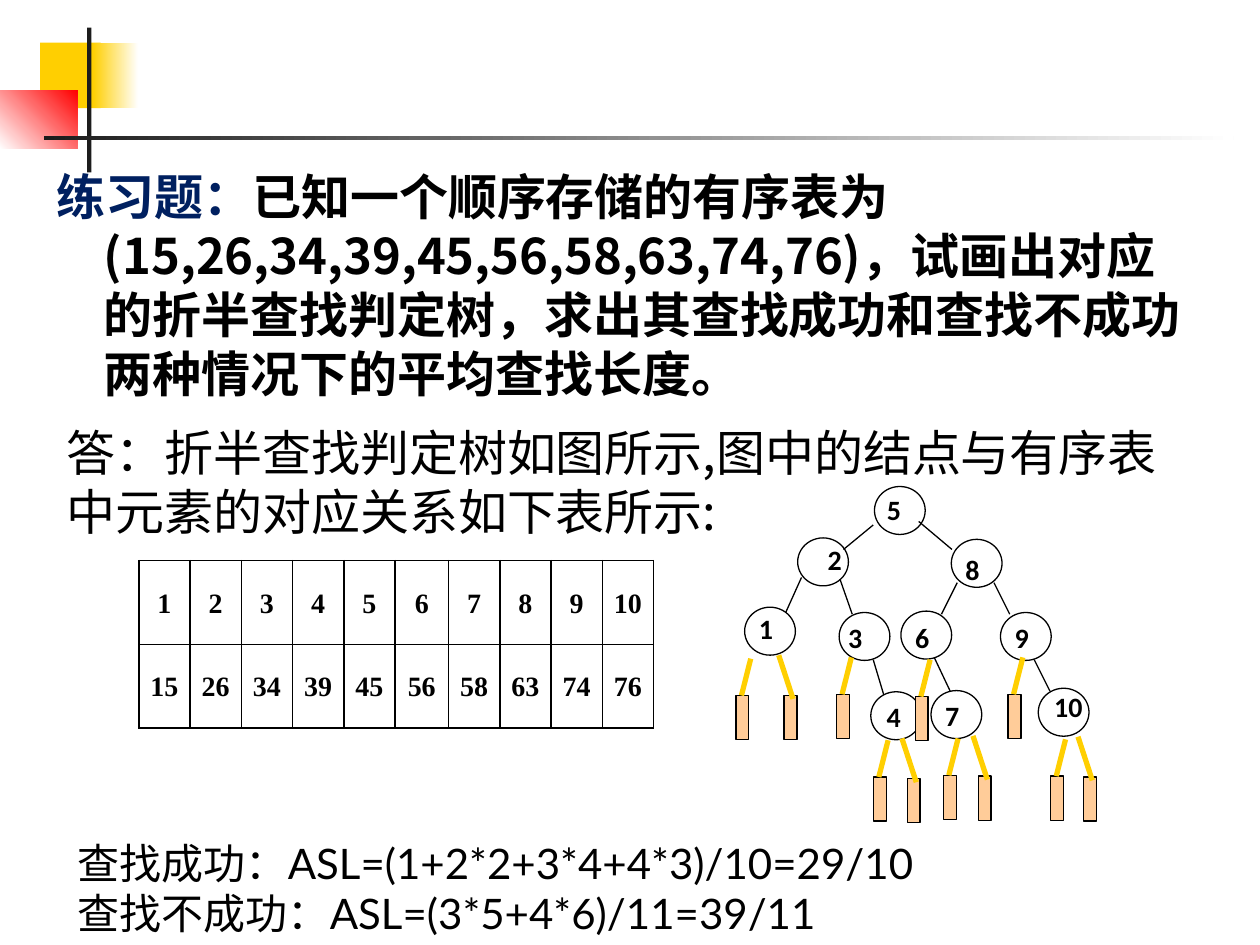
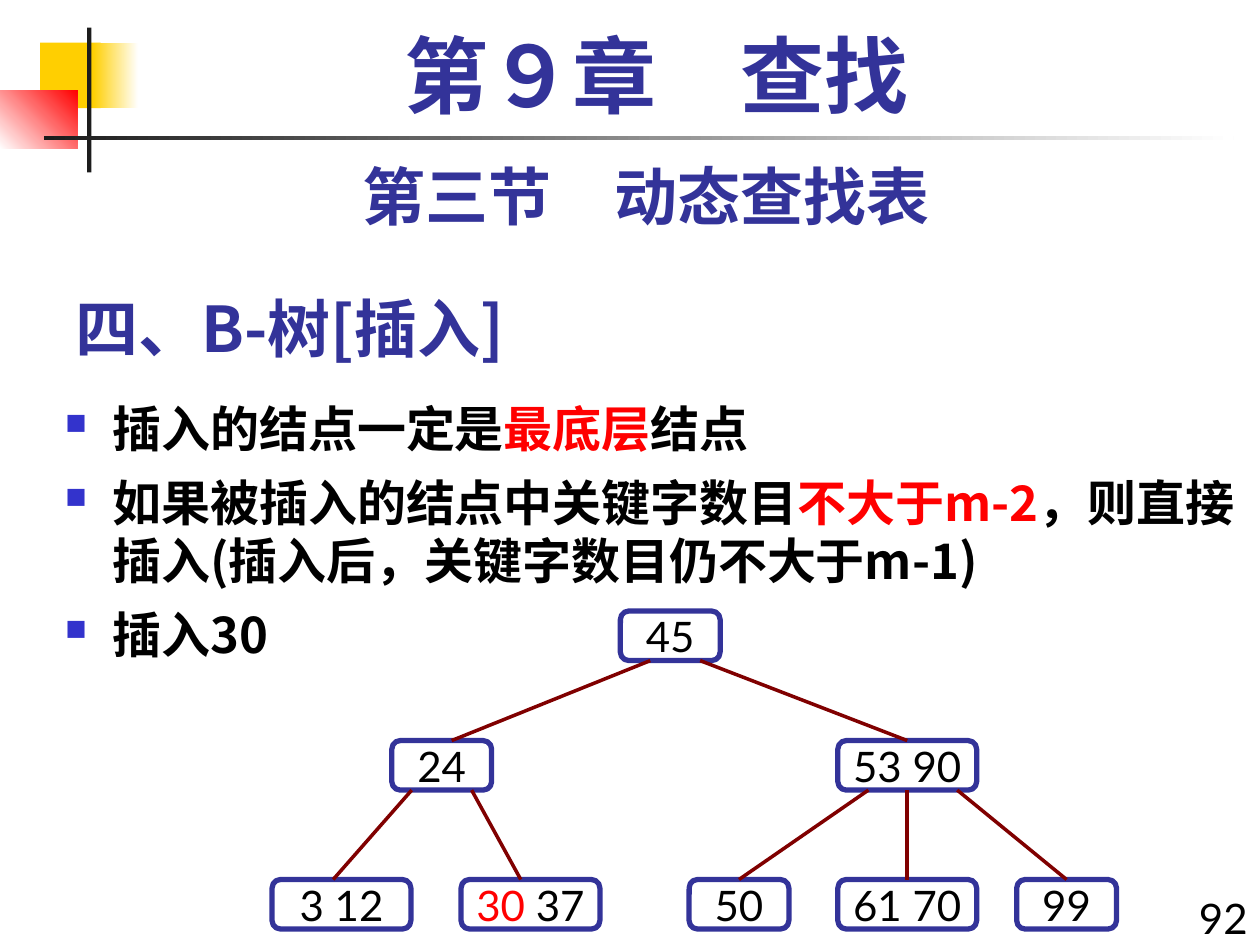
from lxml.etree import SubElement as Sub
from pptx import Presentation
from pptx.dml.color import RGBColor as Rgb
from pptx.enum.shapes import MSO_CONNECTOR as Wire, MSO_SHAPE as Kind
from pptx.enum.text import MSO_ANCHOR as Anchor, MSO_AUTO_SIZE as Auto, PP_ALIGN as Align
from pptx.oxml.ns import qn
from pptx.util import Pt

HUES = {
    "black": "000000", "white": "FFFFFF", "ink": "1C1C1C", "gold": "FFCF01",
    "red": "FF0000", "navy": "002060", "blue": "333399", "mark": "3333CC",
    "peach": "FFCC99", "brown": "800000",
}
SANS, LATO, TIMES, CALI = "Noto Sans CJK SC", "Lato", "Times New Roman", "Calibri"
PITCH = 1.2


def hue(name):
    return Rgb.from_string(HUES[name])


def bullet(para):
    props = para._p.get_or_add_pPr()
    Sub(Sub(props, qn("a:buClr")), qn("a:srgbClr"), val=HUES["mark"])
    Sub(props, qn("a:buSzPct"), val="60000")
    Sub(props, qn("a:buChar"), char="■")


def write(frame, paras, size, font, bold=False, align=Align.LEFT,
          pitch=PITCH, gap=0, hang=0, dots=False):
    for i, parts in enumerate(paras):
        para = frame.add_paragraph() if i else frame.paragraphs[0]
        para.alignment = align
        para.line_spacing = Pt(round(size * pitch, 1))
        para.space_before = Pt(gap if i else 0)
        if hang:
            props = para._p.get_or_add_pPr()
            props.set("marL", str(Pt(hang)))
            props.set("indent", str(Pt(-hang)))
        if dots:
            bullet(para)
        for text, tint in parts:
            run = para.add_run()
            run.text = text
            run.font.size, run.font.bold = Pt(size), bold
            run.font.color.rgb = hue(tint)
            run.font.name = font
            Sub(run._r.get_or_add_rPr(), qn("a:ea"), typeface=SANS)


def inset(frame, side, top, base):
    frame.margin_left = frame.margin_right = Pt(side)
    frame.margin_top, frame.margin_bottom = Pt(top), Pt(base)


def note(slide, box, paras, size, font, top=6, **style):
    frame = slide.shapes.add_textbox(*map(Pt, box)).text_frame
    frame.word_wrap = True
    inset(frame, 7.2, top, 0)
    write(frame, paras, size, font, **style)


def shape(slide, kind, box, fill=None, line=None, width=0.75):
    item = slide.shapes.add_shape(kind, *map(Pt, box))
    item.shadow.inherit = False
    if fill:
        item.fill.solid()
        item.fill.fore_color.rgb = hue(fill)
    else:
        item.fill.background()
    if line:
        item.line.color.rgb = hue(line)
        item.line.width = Pt(width)
    else:
        item.line.fill.background()
    return item


def fade(slide, box, start, end, angle=0):
    fill = shape(slide, Kind.RECTANGLE, box).fill
    fill.gradient()
    fill.gradient_angle = angle
    for stop, tint, spot in zip(fill.gradient_stops, (start, end), (0, 1)):
        stop.color.rgb = hue(tint)
        stop.position = spot


def link(slide, start, end, tint, width):
    wire = slide.shapes.add_connector(Wire.STRAIGHT, *map(Pt, (*start, *end)))
    wire.line.color.rgb = hue(tint)
    wire.line.width = Pt(width)
    Sub(wire._element.spPr, qn("a:effectLst"))


def decor(slide):
    shape(slide, Kind.RECTANGLE, (23, 24.3, 34.5, 37.5), "gold")
    fade(slide, (53, 24.3, 26, 37.5), "gold", "white")
    fade(slide, (0, 51.6, 44.3, 33.4), "white", "red", 45)
    shape(slide, Kind.RECTANGLE, (49.8, 15.8, 2.4, 82.8), "ink")
    fade(slide, (25, 77.7, 680, 2.4), "ink", "white")


def edge(cell):
    props = cell._tc.get_or_add_tcPr()
    for side in ("lnL", "lnR", "lnT", "lnB"):
        line = Sub(props, qn("a:" + side), w=str(Pt(1)))
        Sub(Sub(line, qn("a:solidFill")), qn("a:srgbClr"), val=HUES["black"])


def key_table(slide, box):
    keys = (15, 26, 34, 39, 45, 56, 58, 63, 74, 76)
    rows = (range(1, len(keys) + 1), keys)
    grid = slide.shapes.add_table(len(rows), len(keys), *map(Pt, box)).table
    grid.first_row = grid.horz_banding = False
    for i, col in enumerate(grid.columns):
        col.width = Pt(30.6 if i == 5 else 29.3)
    for row, values in zip(grid.rows, rows):
        row.height = Pt(box[3] / len(rows))
        for cell, value in zip(row.cells, values):
            cell.vertical_anchor = Anchor.MIDDLE
            inset(cell, 5, 0, 0)
            write(cell.text_frame, [[(str(value), "black")]], 16, TIMES,
                  bold=True, align=Align.CENTER)
            edge(cell)
            cell.fill.background()


def search_tree(slide, left, top):
    nodes = (
        ("10", 173.3, 115.3, 2, -3), ("7", 112, 116.6, 1, 1), ("4", 77.6, 117.3, 2, 1),
        ("5", 79.7, 0, 0, 0), ("6", 94.8, 71.2, 1, 2), ("9", 151.7, 72, 1, 1),
        ("8", 123.6, 30.2, 1, 4), ("1", 5.5, 69, 1, -1), ("2", 35.8, 29.4, 10, -1),
        ("3", 59.5, 72, -2, 1),
    )
    edges = (
        (79, 22, 62, 36), (105, 20, 124, 36), (38, 52, 29, 72),
        (60, 53, 67, 73), (79, 99, 85, 119), (127, 55, 118, 73),
        (148, 55, 157, 73), (114, 98, 123, 117), (171, 99, 180, 117),
    )
    lefts = ((0.5, 119.4), (58, 118.7), (103, 120), (156, 118.7),
             (79, 166), (119, 165), (180.4, 165.5))
    rights = ((28, 119.4), (199, 166), (139, 165.5), (98.4, 167))

    for text, x, y, dx, dy in nodes:
        x, y = left + x, top + y
        shape(slide, Kind.OVAL, (x, y, 29, 27.4), "white", "black")
        note(slide, (x + dx, y + dy, 63, 28), [[(text, "black")]], 16, CALI,
             top=3.6, bold=True)
    for x1, y1, x2, y2 in edges:
        link(slide, (left + x1, top + y1), (left + x2, top + y2), "black", 0.75)
    for spots, (x1, y1, x2, y2) in ((lefts, (8.5, -21, 3.2, 0)),
                                    (rights, (-3, -23, 5.2, 2))):
        for x, y in spots:
            x, y = left + x, top + y
            shape(slide, Kind.RECTANGLE, (x, y, 7.4, 25.2), "peach", "black")
            link(slide, (x + x1, y + y1), (x + x2, y + y2), "gold", 3)


def key_tree(slide, left, top):
    high, slim, wide = 28.3, 57, 79.3
    rows = (0, 74, 153.4)
    nodes = {
        "45": (199, 0, slim), "24": (68.4, 1, slim), "53 90": (323.3, 1, wide),
        "3 12": (0, 2, wide), "30 37": (108, 2, wide), "50": (238.3, 2, slim),
        "61 70": (323.3, 2, wide), "99": (425.5, 2, slim),
    }
    edges = (
        ("45", 0.3, "24", 0.6), ("45", 0.8, "53 90", 0.5),
        ("24", 0.2, "3 12", 0.44), ("24", 0.8, "30 37", 0.43),
        ("53 90", 0.22, "50", 0.5), ("53 90", 0.5, "61 70", 0.5),
        ("53 90", 0.86, "99", 0.5),
    )

    def port(name, part, low):
        x, row, width = nodes[name]
        return left + x + width * part, top + rows[row] + low

    for text, (x, row, width) in nodes.items():
        box = (left + x, top + rows[row], width, high)
        item = shape(slide, Kind.ROUNDED_RECTANGLE, box, None, "blue", 3)
        item.adjustments[0] = 0.17
        frame = item.text_frame
        frame.word_wrap = False
        frame.vertical_anchor = Anchor.MIDDLE
        inset(frame, 0, 0, 0)
        fresh = text.startswith("30")
        parts = [("30", "red"), (text[2:], "black")] if fresh else [(text, "black")]
        write(frame, [parts], 24, LATO, align=Align.CENTER)
    for upper, start, lower, end in edges:
        link(slide, port(upper, start, high), port(lower, end, 0), "brown", 2)


def drill(deck):
    slide = deck.slides.add_slide(deck.slide_layouts[6])
    decor(slide)
    note(slide, (25.3, 89.3, 669, 150), [[
        ("练习题：", "navy"),
        ("已知一个顺序存储的有序表为(15,26,34,39,45,56,58,63,74,76)，试画出对应的折半查找判定树，"
         "求出其查找成功和查找不成功两种情况下的平均查找长度。", "black"),
    ]], 28, SANS, bold=True, hang=27)
    note(slide, (31, 235.4, 658, 75), [[
        ("答：折半查找判定树如图所示,图中的结点与有序表中元素的对应关系如下表所示:", "black"),
    ]], 28, SANS)
    key_table(slide, (79.3, 320.4, 294.3, 95.6))
    search_tree(slide, 420, 278)
    note(slide, (37.4, 472.3, 560, 66), [
        [("查找成功：ASL=(1+2*2+3*4+4*3)/10=29/10", "black")],
        [("查找不成功：ASL=(3*5+4*6)/11=39/11", "black")],
    ], 24, LATO)


def insert(deck):
    slide = deck.slides.add_slide(deck.slide_layouts[5])
    decor(slide)
    title = slide.shapes.title
    title.left, title.top, title.width, title.height = map(Pt, (36, 156.2, 492, 54))
    frame = title.text_frame
    frame.auto_size = Auto.NONE
    frame.vertical_anchor = Anchor.BOTTOM
    inset(frame, 7.2, 3.6, 1.6)
    write(frame, [[("四、B-树[插入]", "blue")]], 36, SANS, bold=True)
    note(slide, (672, 504, 48, 36), [[("92", "black")]], 24, LATO, align=Align.RIGHT)
    note(slide, (36, 84.2, 666, 50), [[("第三节　动态查找表", "blue")]], 36, LATO,
         bold=True, align=Align.CENTER)
    note(slide, (30.2, 221.8, 690, 160), [
        [("插入的结点一定是", "black"), ("最底层", "red"), ("结点", "black")],
        [("如果被插入的结点中关键字数目", "black"), ("不大于m-2", "red"),
         ("，则直接插入(插入后，关键字数目仍不大于m-1)", "black")],
        [("插入30", "black")],
    ], 28, SANS, bold=True, gap=8.4, hang=27, dots=True)
    note(slide, (48.2, 12.2, 654, 60), [[("第９章　查找", "blue")]], 48, TIMES,
         bold=True, align=Align.CENTER, pitch=1.1)
    key_tree(slide, 155.5, 349.2)


def main():
    deck = Presentation()
    deck.slide_width, deck.slide_height = Pt(720), Pt(540)
    drill(deck)
    insert(deck)
    deck.save("out.pptx")


if __name__ == "__main__":
    main()
